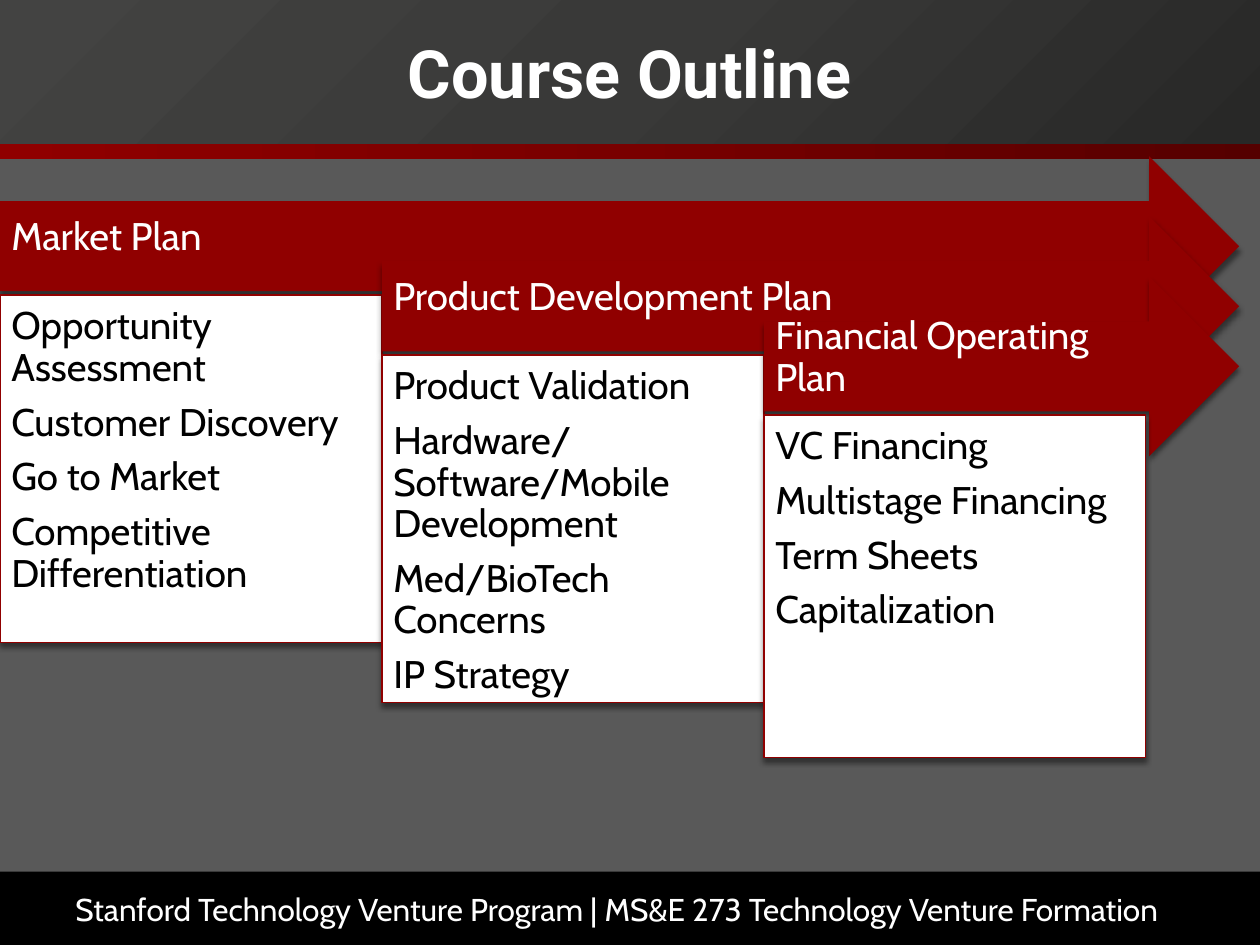
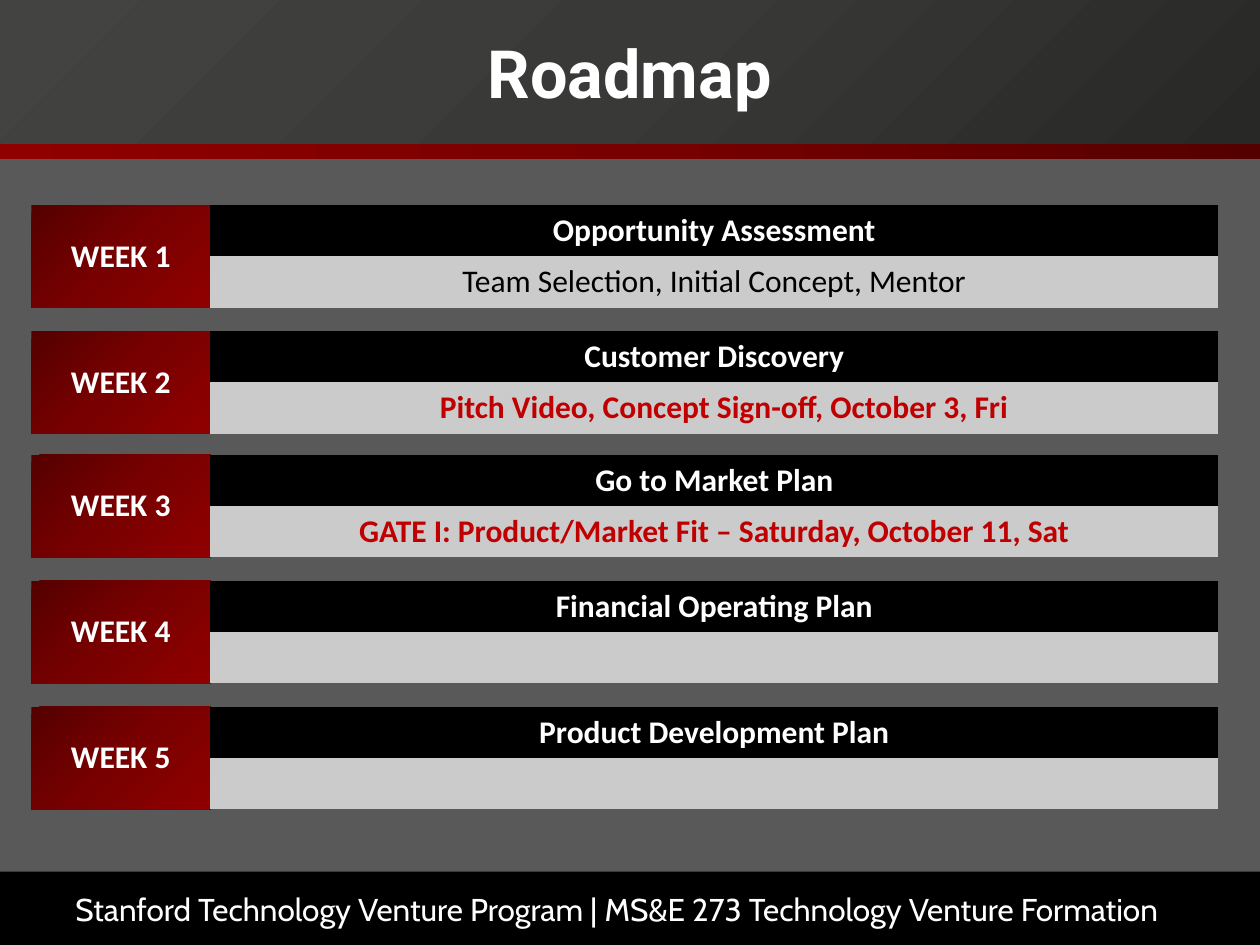
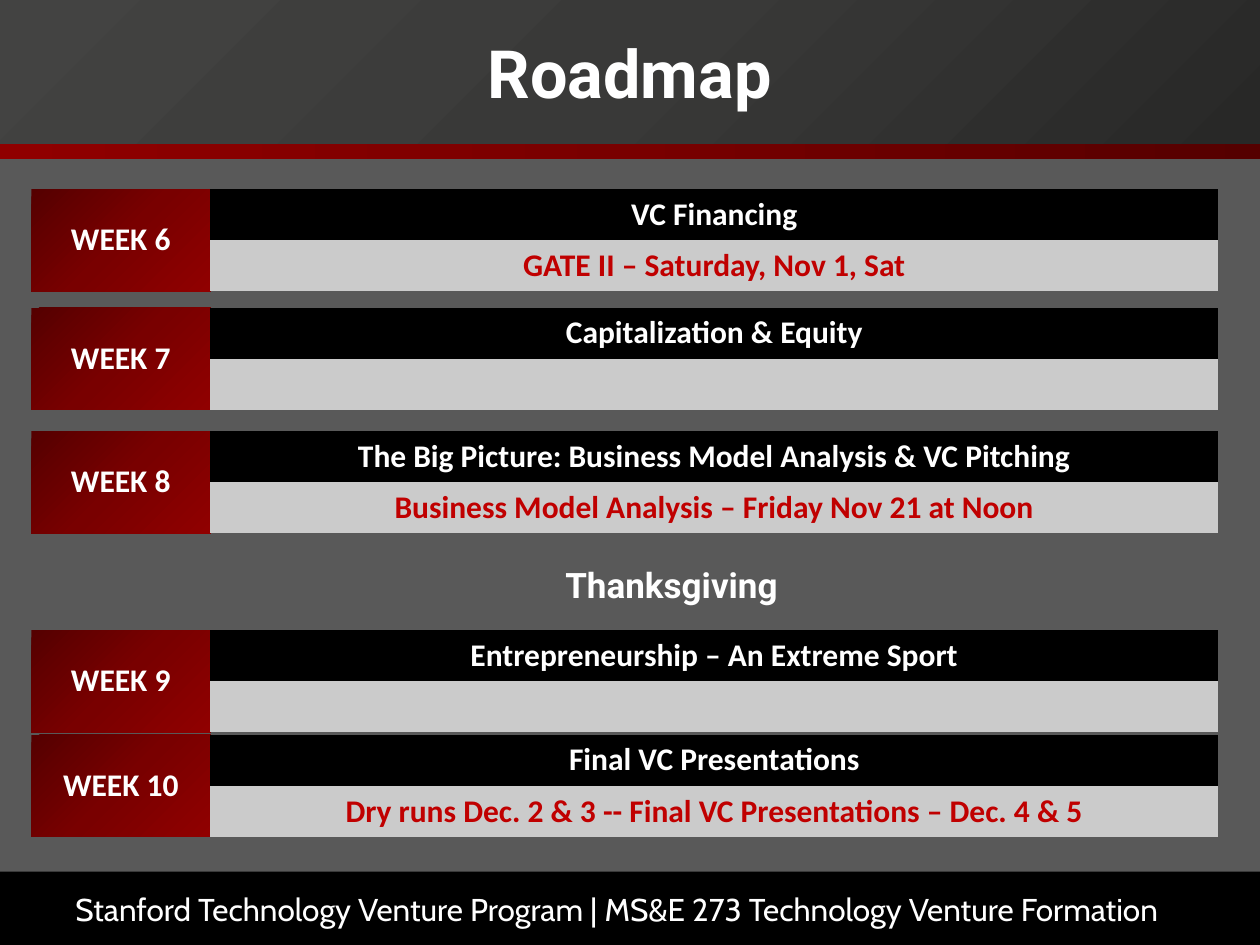
from dataclasses import dataclass
from typing import Any

from lxml.etree import SubElement
from pptx import Presentation
from pptx.dml.color import RGBColor as Rgb
from pptx.enum.shapes import MSO_SHAPE as Preset
from pptx.enum.text import MSO_ANCHOR as Anchor, PP_ALIGN as Align
from pptx.oxml.ns import qn
from pptx.util import Cm, Pt

BLACK, WHITE, GRAY, SILVER = "000000", "FFFFFF", "595959", "CBCBCB"
RED, ALERT = "900000", "C00000"
RED_FADE = ("550000", "790000", RED)
BANNER_FADE = ("434342", "393938", "282827")
PAGE_WIDTH, PAGE_HEIGHT = 25.4, 19.05
FOOTER = "Stanford Technology Venture Program | MS&E 273 Technology Venture Formation"
NO_STYLE = "{2D5ABB26-0587-4C30-8999-92F81FD0307C}"

TITLE = {"name": "Roboto", "size": Pt(38), "bold": True}
BREAK = {"name": "Roboto", "size": Pt(20), "bold": True}
FOOTING = {"name": "Cabin", "size": Pt(18)}
PLAN_TEXT = {"name": "Cabin", "size": Pt(22)}
WEEK_TEXT = {"name": "Calibri", "size": Pt(18), "bold": True}
PLAN_PARA = {"line_spacing": 0.9, "space_after": Pt(7.5), "alignment": Align.LEFT}
CENTERED = {"alignment": Align.CENTER}
PLAN_FRAME = {"margin_left": Cm(0.23), "margin_right": Cm(0.23), "margin_top": Cm(0.23),
              "margin_bottom": Cm(0.23), "vertical_anchor": Anchor.TOP}
HEADING_FRAME = PLAN_FRAME | {"margin_right": Cm(0.71), "margin_bottom": Cm(0.58),
                              "vertical_anchor": Anchor.MIDDLE}


@dataclass(frozen=True)
class Area:
    """A rectangle on the page, in centimetres."""
    left: float
    top: float
    width: float
    height: float

    def lengths(self) -> tuple:
        """Return the four lengths in the order that shapes take them."""
        return Cm(self.left), Cm(self.top), Cm(self.width), Cm(self.height)


@dataclass(frozen=True)
class Plan:
    """One arrow of the outline with its list of topics."""
    heading: str
    topics: tuple[str, ...]
    box_height: float = 7.0


@dataclass(frozen=True)
class Week:
    """One week of the roadmap; wide columns follow the week label."""
    number: int
    top: float
    topic: str
    detail: str = ""
    detail_color: str = ALERT
    detail_bold: bool = True
    columns: tuple[float, ...] = (20.32,)


PLANS = (
    Plan("Market Plan", ("Opportunity Assessment", "Customer Discovery", "Go to Market",
                         "Competitive Differentiation")),
    Plan("Product Development Plan", ("Product Validation", "Hardware/ Software/Mobile Development",
                                      "Med/BioTech Concerns", "IP Strategy")),
    Plan("Financial Operating Plan", ("VC Financing", "Multistage Financing", "Term Sheets",
                                      "Capitalization"), 6.9),
)
FIRST_WEEKS = (
    Week(1, 4.14, "Opportunity Assessment", "Team Selection, Initial Concept, Mentor", BLACK, False),
    Week(2, 6.68, "Customer Discovery", "Pitch Video, Concept Sign-off, October 3, Fri",
         columns=(4.01, 12.7, 3.61)),
    Week(3, 9.17, "Go to Market Plan", "GATE I: Product/Market Fit – Saturday, October 11, Sat"),
    Week(4, 11.71, "Financial Operating Plan"),
    Week(5, 14.25, "Product Development Plan"),
)
LAST_WEEKS = (
    Week(6, 3.81, "VC Financing", "GATE II – Saturday, Nov 1, Sat"),
    Week(7, 6.2, "Capitalization & Equity"),
    Week(8, 8.69, "The Big Picture: Business Model Analysis & VC Pitching",
         "Business Model Analysis – Friday Nov 21 at Noon"),
    Week(9, 12.7, "Entrepreneurship – An Extreme Sport"),
    Week(10, 14.81, "Final VC Presentations",
         "Dry runs Dec. 2 & 3 -- Final VC Presentations – Dec. 4 & 5"),
)


def color(code: str) -> Rgb:
    """Turn a hex string into a colour."""
    return Rgb.from_string(code)


def apply(target: Any, values: dict) -> None:
    """Set each named attribute of the target."""
    for name, value in values.items():
        setattr(target, name, value)


def paint(target: Any, code: str) -> None:
    """Give a shape, cell or background a solid fill."""
    target.fill.solid()
    target.fill.fore_color.rgb = color(code)


def fade(target: Any, properties: Any, codes: tuple[str, ...], degrees: int) -> None:
    """Give a shape or cell an evenly stepped linear gradient."""
    target.fill.background()
    gradient = properties.find(qn("a:noFill"))
    gradient.tag = qn("a:gradFill")
    gradient.set("rotWithShape", "1")
    stops = SubElement(gradient, qn("a:gsLst"))
    for index, code in enumerate(codes):
        stop = SubElement(stops, qn("a:gs"), pos=str(index * 100000 // (len(codes) - 1)))
        SubElement(stop, qn("a:srgbClr"), val=code)
    SubElement(gradient, qn("a:lin"), ang=str(degrees * 60000), scaled="0")


def cast_shadow(shape: Any) -> None:
    """Drop a soft black shadow below a shape."""
    effects = shape._element.spPr.find(qn("a:effectLst"))
    shadow = SubElement(effects, qn("a:outerShdw"), blurRad=str(Pt(3)), dist=str(Pt(2.4)),
                        dir="5400000", algn="bl", rotWithShape="0")
    black = SubElement(shadow, qn("a:srgbClr"), val=BLACK)
    SubElement(black, qn("a:alpha"), val="45000")


def write(frame: Any, lines: tuple[str, ...], code: str, font: dict, layout: dict) -> None:
    """Fill a text frame with one paragraph for each line."""
    for index, line in enumerate(lines):
        para = frame.paragraphs[0] if index == 0 else frame.add_paragraph()
        apply(para, layout)
        span = para.add_run()
        span.text = line
        apply(span.font, font)
        span.font.color.rgb = color(code)


def add_block(page: Any, preset: Any, area: Area, code: str) -> Any:
    """Add a flat shape without a line."""
    shape = page.shapes.add_shape(preset, *area.lengths())
    shape.shadow.inherit = False
    shape.line.fill.background()
    paint(shape, code)
    return shape


def add_label(page: Any, area: Area, text: str, font: dict, layout: dict, frame_values: dict) -> None:
    """Add a wrapped white text box."""
    frame = page.shapes.add_textbox(*area.lengths()).text_frame
    apply(frame, {"word_wrap": True} | frame_values)
    write(frame, (text,), WHITE, font, layout)


def add_page(deck: Any, title: str) -> Any:
    """Add a page with the shared background, bands, footer and title."""
    page = deck.slides.add_slide(deck.slide_layouts[6])
    paint(page.background, GRAY)
    footer = add_block(page, Preset.RECTANGLE, Area(0, 17.57, PAGE_WIDTH, 1.49), BLACK)
    apply(footer.text_frame, {"margin_left": Cm(1.52), "margin_right": Cm(0.25), "word_wrap": True,
                              "vertical_anchor": Anchor.MIDDLE})
    write(footer.text_frame, (FOOTER,), WHITE, FOOTING, {"alignment": Align.LEFT})
    stripe = add_block(page, Preset.RECTANGLE, Area(0, 1.17, PAGE_WIDTH, 2.03), RED)
    fade(stripe, stripe._element.spPr, RED_FADE[::-1], 0)
    banner = add_block(page, Preset.RECTANGLE, Area(0, 0, PAGE_WIDTH, 2.9), GRAY)
    fade(banner, banner._element.spPr, BANNER_FADE, 45)
    add_label(page, Area(0.63, 0.08, 24.13, 2.74), title, TITLE, CENTERED,
              {"vertical_anchor": Anchor.MIDDLE})
    return page


def add_plan(page: Any, plan: Plan, position: int) -> None:
    """Add one step of the outline: arrow, heading and topic box."""
    column, arrow_end = 7.7, 24.98
    left, top = position * column, 3.15 + position * 1.21
    width = arrow_end - left
    arrow = add_block(page, Preset.RIGHT_ARROW, Area(left, top, width, 3.63), RED)
    cast_shadow(arrow)
    add_label(page, Area(left, top + 0.91, width - 0.91, 1.82), plan.heading, PLAN_TEXT, PLAN_PARA,
              HEADING_FRAME)
    box = add_block(page, Preset.RECTANGLE, Area(left, top + 2.8, column, plan.box_height), WHITE)
    box.line.color.rgb = color(RED)
    box.line.width = Pt(0.79)
    cast_shadow(box)
    apply(box.text_frame, PLAN_FRAME | {"word_wrap": True})
    write(box.text_frame, plan.topics, BLACK, PLAN_TEXT, PLAN_PARA)


def add_week(page: Any, week: Week) -> None:
    """Add the table of one week: label, topic and detail."""
    widths = (3.61, *week.columns)
    row_height = 1.03
    area = Area(0.63, week.top, sum(widths), 2 * row_height)
    table = page.shapes.add_table(2, len(widths), *area.lengths()).table
    apply(table, {"first_row": False, "horz_banding": False})
    table._tbl.tblPr.find(qn("a:tableStyleId")).text = NO_STYLE
    for column, width in zip(table.columns, widths):
        column.width = Cm(width)
    for row, code in zip(table.rows, (BLACK, SILVER)):
        row.height = Cm(row_height)
        for cell in row.cells:
            paint(cell, code)
            cell.text_frame.paragraphs[0].font.size = Pt(18)
    label, topic = table.cell(0, 0), table.cell(0, 1)
    label.merge(table.cell(1, 0))
    label.vertical_anchor = Anchor.MIDDLE
    fade(label, label._tc.get_or_add_tcPr(), RED_FADE, 45)
    if len(week.columns) > 1:
        topic.merge(table.cell(0, len(week.columns)))
    write(label.text_frame, (f"WEEK {week.number}",), WHITE, WEEK_TEXT, CENTERED)
    write(topic.text_frame, (week.topic,), WHITE, WEEK_TEXT, CENTERED)
    if week.detail:
        detail = table.cell(1, 1 + len(week.columns) // 2)
        write(detail.text_frame, (week.detail,), week.detail_color,
              WEEK_TEXT | {"bold": week.detail_bold}, CENTERED)


def add_roadmap(deck: Any, weeks: tuple[Week, ...]) -> Any:
    """Add a roadmap page with its weeks."""
    page = add_page(deck, "Roadmap")
    for week in weeks:
        add_week(page, week)
    return page


def main() -> None:
    """Build the three pages and save the deck."""
    deck = Presentation()
    apply(deck, {"slide_width": Cm(PAGE_WIDTH), "slide_height": Cm(PAGE_HEIGHT)})
    outline = add_page(deck, "Course Outline")
    for position, plan in enumerate(PLANS):
        add_plan(outline, plan, position)
    add_roadmap(deck, FIRST_WEEKS)
    page = add_roadmap(deck, LAST_WEEKS)
    add_label(page, Area(3.38, 11.23, 20.32, 1.12), "Thanksgiving", BREAK, CENTERED, {})
    deck.save("out.pptx")


if __name__ == "__main__":
    main()
